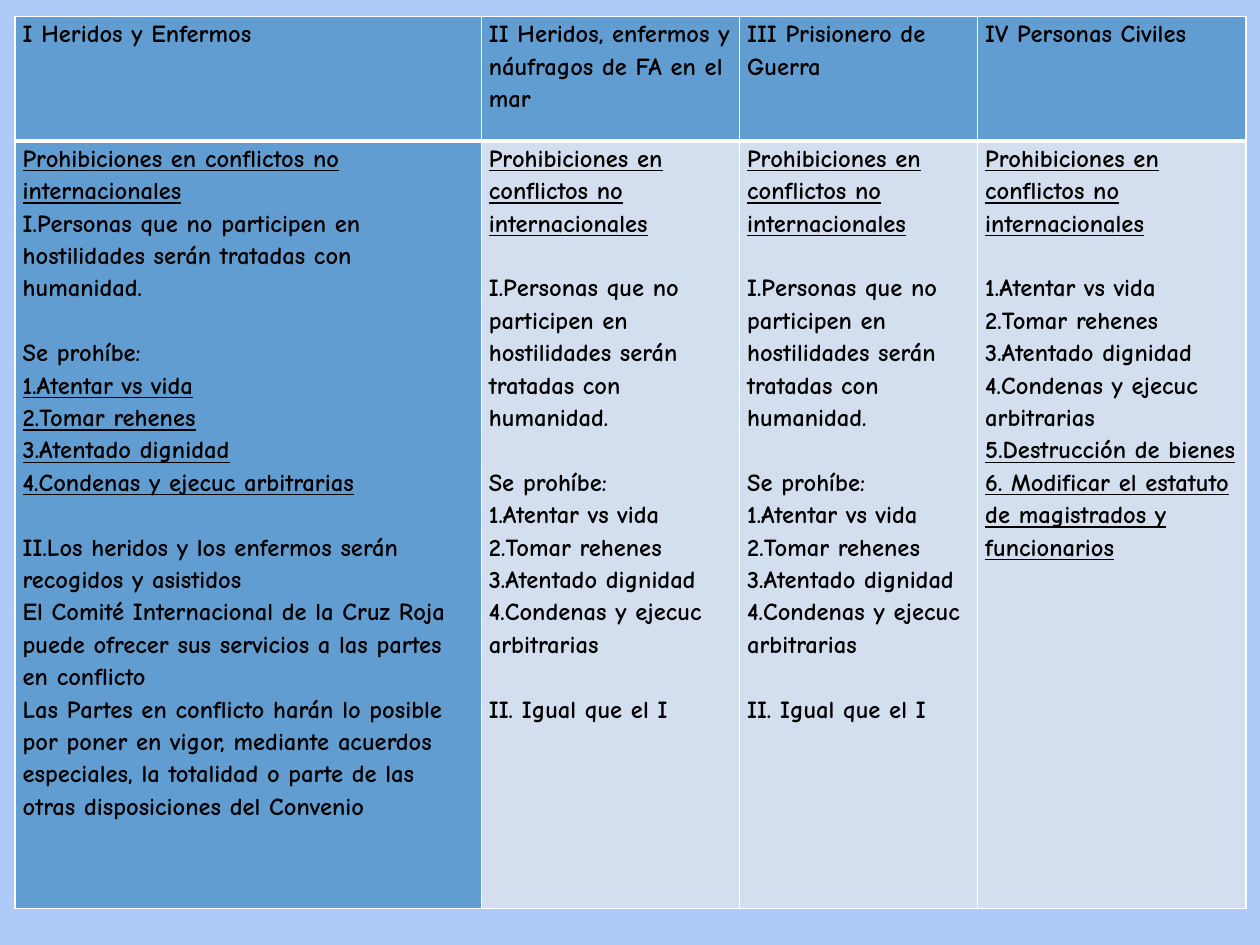
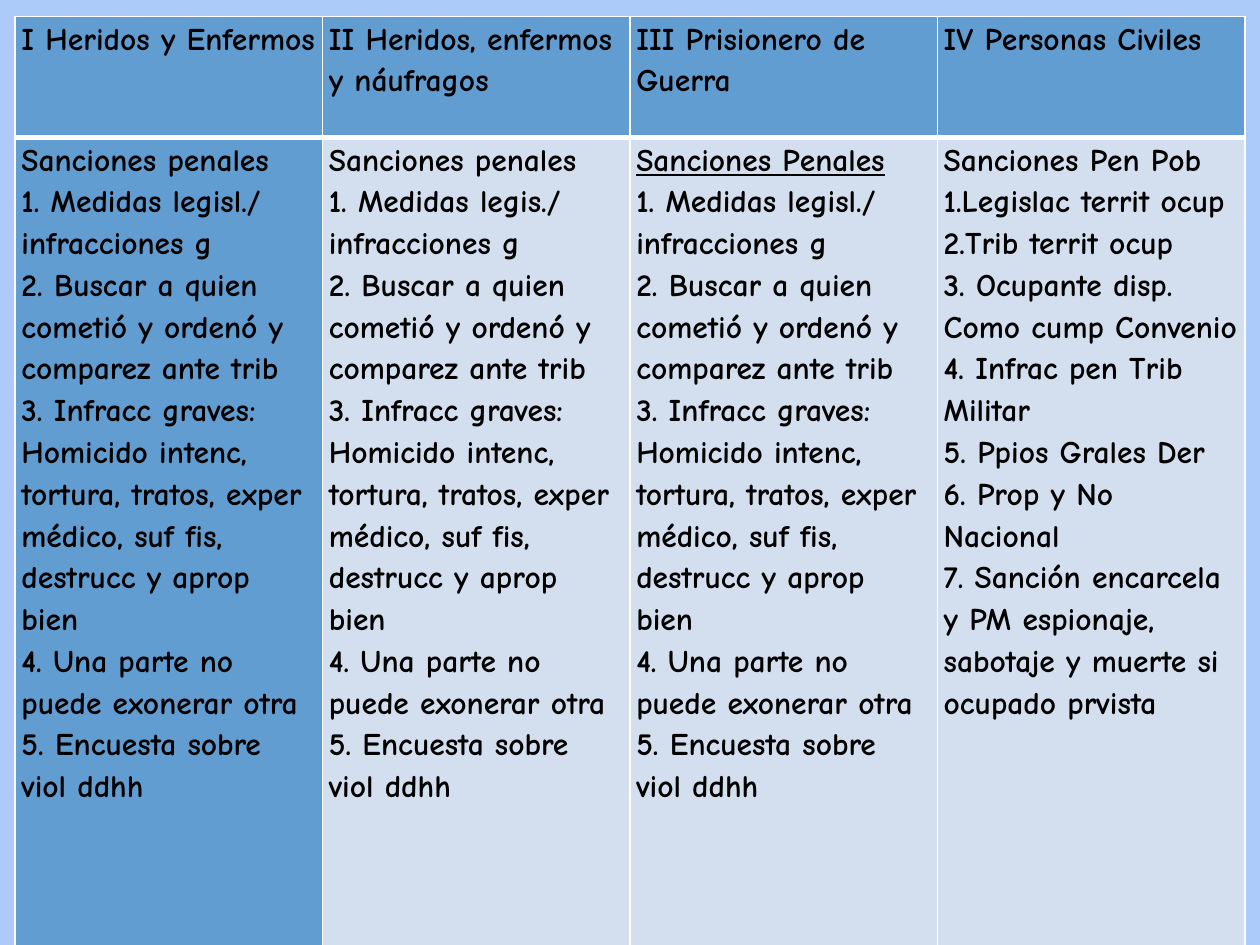
from lxml.etree import SubElement
from pptx import Presentation
from pptx.dml.color import RGBColor
from pptx.oxml.ns import qn
from pptx.util import Inches, Pt

COLORS = {
    "background": "ACCBF9",
    "strong": "629DD1",
    "pale": "D3DFEE",
    "border": "FFFFFF",
    "text": "000000",
}
FONT = "Comic Neue"
UNDERLINED = {"underline": True}
GAP = {"space_before": 18.5}


def add_text(text_frame, text, size, first=False, underline=False, space_before=0):
    paragraph = text_frame.paragraphs[0] if first else text_frame.add_paragraph()
    paragraph.line_spacing = 1.15
    paragraph.space_before = Pt(space_before)
    run = paragraph.add_run()
    run.text = text
    run.font.name = FONT
    run.font.size = Pt(size)
    run.font.bold = True
    run.font.underline = underline
    run.font.color.rgb = RGBColor.from_string(COLORS["text"])


def style_cell(cell, fill, borders, inset):
    cell.margin_left = cell.margin_right = Inches(inset)
    cell.margin_top = cell.margin_bottom = 0
    properties = cell._tc.get_or_add_tcPr()
    for side, width in borders.items():
        line = SubElement(properties, qn(f"a:ln{side}"), w=str(Pt(width)))
        solid = SubElement(line, qn("a:solidFill"))
        SubElement(solid, qn("a:srgbClr"), val=COLORS["border"])
    cell.fill.solid()
    cell.fill.fore_color.rgb = RGBColor.from_string(COLORS[fill])


# Wording shared by several columns: (text, format)
conflict_title = ("Prohibiciones en conflictos no internacionales", UNDERLINED)
humane_treatment = "I.Personas que no participen en hostilidades serán tratadas con humanidad."
forbidden_acts = ["1.Atentar vs vida", "2.Tomar rehenes", "3.Atentado dignidad",
                  "4.Condenas y ejecuc arbitrarias"]
plain_acts = [(act, {}) for act in forbidden_acts]
same_as_first = [
    conflict_title,
    (humane_treatment, GAP),
    ("Se prohíbe:", GAP),
    *plain_acts,
    ("II. Igual que el I", GAP),
]
grave_breaches = [(text, {}) for text in (
    "2. Buscar a quien cometió y ordenó y comparez ante trib",
    "3. Infracc graves: Homicido intenc, tortura, tratos, exper médico, suf fis, "
    "destrucc y aprop bien",
    "4. Una parte no puede exonerar otra",
    "5. Encuesta sobre viol ddhh",
)]

# Prohibitions by convention
prohibitions = {
    "I Heridos y Enfermos": [
        conflict_title,
        (humane_treatment, {}),
        ("Se prohíbe:", GAP),
        *[(act, UNDERLINED) for act in forbidden_acts],
        ("II.Los heridos y los enfermos serán recogidos y asistidos", GAP),
        ("El Comité Internacional de la Cruz Roja puede ofrecer sus servicios "
         "a las partes en conflicto", {}),
        ("Las Partes en conflicto harán lo posible por poner en vigor, mediante acuerdos "
         "especiales, la totalidad o parte de las otras disposiciones del Convenio", {}),
    ],
    "II Heridos, enfermos y náufragos de FA en el mar": same_as_first,
    "III Prisionero de Guerra": same_as_first,
    "IV Personas Civiles": [
        conflict_title,
        (forbidden_acts[0], GAP),
        *plain_acts[1:],
        ("5.Destrucción de bienes", UNDERLINED),
        ("6. Modificar el estatuto de magistrados y funcionarios", UNDERLINED),
    ],
}

# Penal sanctions by convention
sanctions = {
    "I Heridos y Enfermos": [
        ("Sanciones penales", {}),
        ("1. Medidas legisl./ infracciones g", {}),
        *grave_breaches,
    ],
    "II Heridos, enfermos y náufragos": [
        ("Sanciones penales", {}),
        ("1. Medidas legis./ infracciones g", {}),
        *grave_breaches,
    ],
    "III Prisionero de Guerra": [
        ("Sanciones Penales", UNDERLINED),
        ("1. Medidas legisl./ infracciones g", {}),
        *grave_breaches,
    ],
    "IV Personas Civiles": [(text, {}) for text in (
        "Sanciones Pen Pob",
        "1.Legislac territ ocup",
        "2.Trib territ ocup",
        "3. Ocupante disp. Como cump Convenio",
        "4. Infrac pen Trib Militar",
        "5. Ppios Grales Der",
        "6. Prop y No Nacional",
        "7. Sanción encarcela y PM espionaje, sabotaje y muerte si ocupado prvista",
    )],
}

# Content, column widths, row heights, text size and side inset of each slide
tables = [
    (prohibitions, [3.7, 2.05, 1.89, 2.13], [0.99, 6.09], 14, 0.06),
    (sanctions, [2.44] * 4, [0.96, 6.42], 18, 0.05),
]

presentation = Presentation()
presentation.slide_width = Inches(10)
presentation.slide_height = Inches(7.5)

for conventions, widths, heights, size, inset in tables:
    # Slide and background
    slide = presentation.slides.add_slide(presentation.slide_layouts[6])
    slide.background.fill.solid()
    slide.background.fill.fore_color.rgb = RGBColor.from_string(COLORS["background"])

    # Table grid
    shape = slide.shapes.add_table(2, len(widths), Inches(0.12), Inches(0.13),
                                   Inches(sum(widths)), Inches(sum(heights)))
    table = shape.table
    table.first_row = table.horz_banding = False
    for row, height in zip(table.rows, heights):
        row.height = Inches(height)

    # One column per convention
    for index, (heading, body) in enumerate(conventions.items()):
        table.columns[index].width = Inches(widths[index])

        header_cell = table.cell(0, index)
        style_cell(header_cell, "strong", {"L": 1, "R": 1, "T": 1, "B": 3}, inset)
        add_text(header_cell.text_frame, heading, size, first=True)

        body_cell = table.cell(1, index)
        style_cell(body_cell, "pale" if index else "strong",
                   {"L": 1, "R": 1, "T": 3, "B": 1}, inset)
        for position, (text, text_format) in enumerate(body):
            add_text(body_cell.text_frame, text, size, first=position == 0, **text_format)

presentation.save("out.pptx")
